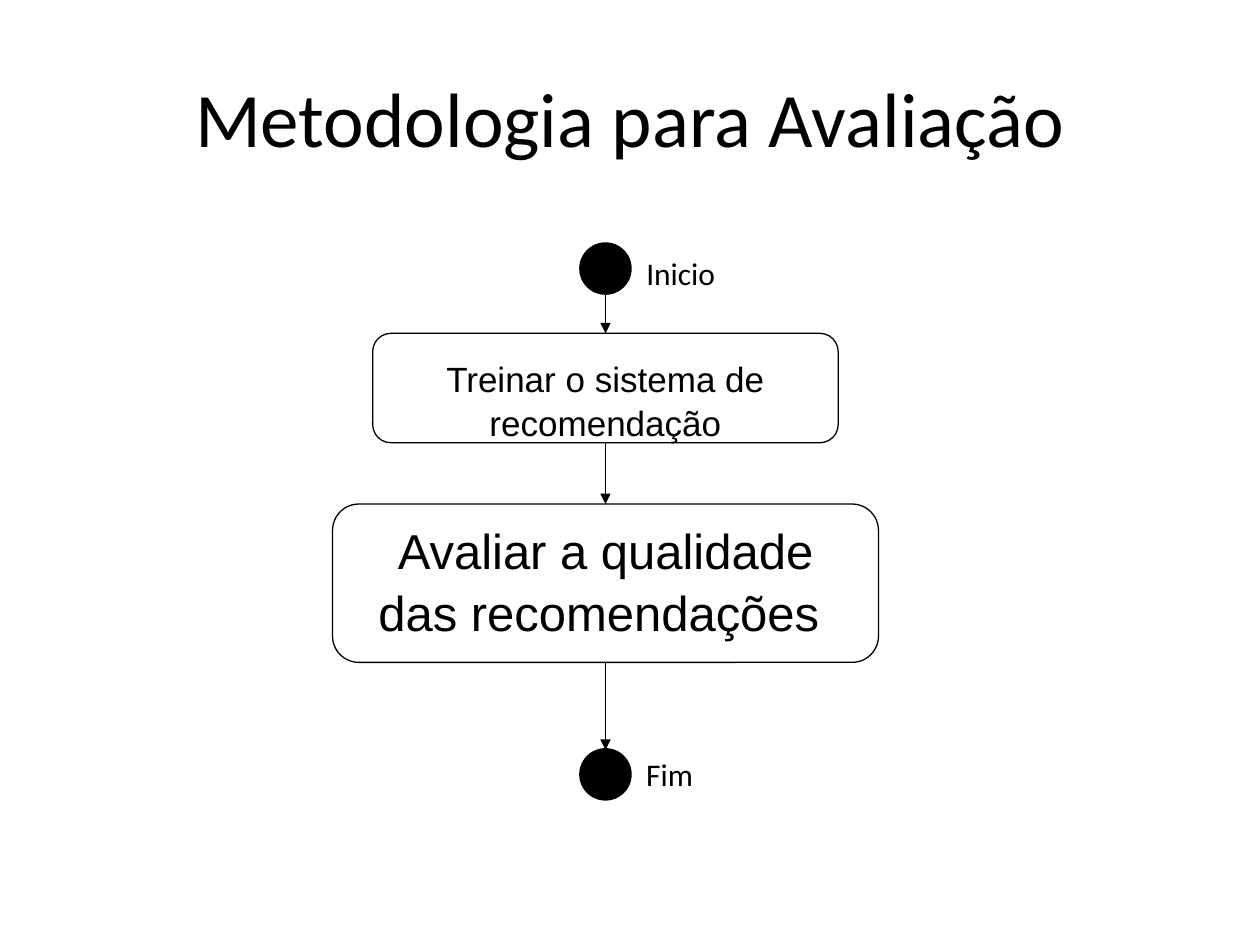
from collections import namedtuple
from dataclasses import dataclass
from itertools import pairwise

from lxml.etree import SubElement
from pptx import Presentation
from pptx.dml.color import RGBColor
from pptx.enum.shapes import MSO_CONNECTOR, MSO_SHAPE
from pptx.enum.text import MSO_ANCHOR, MSO_AUTO_SIZE, PP_ALIGN
from pptx.oxml.ns import qn
from pptx.util import Pt

Box = namedtuple("Box", "left top width height")


@dataclass(frozen=True)
class Theme:
    """Colours, fonts, type sizes and line widths of the slide."""

    ink: RGBColor = RGBColor(0, 0, 0)
    paper: RGBColor = RGBColor(255, 255, 255)
    heading_font: str = "Calibri"
    step_font: str = "Arial"
    title_size: float = 44
    label_size: float = 18
    train_size: float = 20
    assess_size: float = 28
    thin: float = 0.75
    thick: float = 2


THEME = Theme()


def place(shape, box):
    """Move and size a shape to a box in points."""
    shape.left, shape.top, shape.width, shape.height = map(Pt, box)


def write(para, text, font, size):
    """Add one run of text to a paragraph."""
    span = para.add_run()
    span.text = text
    span.font.name = font
    span.font.size = Pt(size)
    span.font.color.rgb = THEME.ink


def add_title(page, box, text):
    """Fill the title placeholder."""
    title = page.shapes.title
    place(title, box)
    frame = title.text_frame
    frame.vertical_anchor = MSO_ANCHOR.MIDDLE
    para = frame.paragraphs[0]
    para.alignment = PP_ALIGN.CENTER
    write(para, text, THEME.heading_font, THEME.title_size)


def add_node(page, kind, box, fill, line_width):
    """Add a filled and outlined shape without shadow."""
    node = page.shapes.add_shape(kind, *map(Pt, box))
    node.shadow.inherit = False
    node.fill.solid()
    node.fill.fore_color.rgb = fill
    node.line.color.rgb = THEME.ink
    node.line.width = Pt(line_width)
    return node


def add_step(page, box, text, size, top_inset):
    """Add a rounded process step with centred text."""
    step = add_node(page, MSO_SHAPE.ROUNDED_RECTANGLE, box, THEME.paper, THEME.thin)
    frame = step.text_frame
    frame.word_wrap = True
    frame.vertical_anchor = MSO_ANCHOR.TOP
    frame.margin_top = Pt(top_inset)
    para = frame.paragraphs[0]
    para.alignment = PP_ALIGN.CENTER
    para.line_spacing = 1.05
    para.space_after = Pt(8)
    write(para, text, THEME.step_font, size)


def add_terminal(page, box, text, label_box):
    """Add a start or end dot with its label."""
    add_node(page, MSO_SHAPE.OVAL, box, THEME.ink, THEME.thick)
    label = page.shapes.add_textbox(*map(Pt, label_box))
    frame = label.text_frame
    frame.word_wrap = False
    frame.auto_size = MSO_AUTO_SIZE.SHAPE_TO_FIT_TEXT
    write(frame.paragraphs[0], text, THEME.heading_font, THEME.label_size)


def add_arrow(page, center, top, bottom):
    """Add a downward arrow on the flow axis."""
    ends = map(Pt, (center, top, center, bottom))
    arrow = page.shapes.add_connector(MSO_CONNECTOR.STRAIGHT, *ends)
    arrow.line.color.rgb = THEME.ink
    arrow.line.width = Pt(THEME.thin)
    SubElement(arrow.line._get_or_add_ln(), qn("a:tailEnd"), type="triangle")
    SubElement(arrow._element.spPr, qn("a:effectLst"))


def add_flow(page, box):
    """Add the vertical flow from start to end inside a box."""
    center = box.left + box.width / 2
    dot = 28

    def centered(offset, width, height):
        """Return a box centred on the flow axis."""
        return Box(center - width / 2, box.top + offset, width, height)

    start = centered(0, dot, dot)
    train = centered(51, 266, 62.5)
    assess = centered(148.5, box.width, 90.5)
    end = centered(box.height - dot, dot, dot)
    label_left = center + 16.2

    add_step(page, train, "Treinar o sistema de recomendação", THEME.train_size, 9.4)
    add_step(page, assess, "Avaliar a qualidade das recomendações ", THEME.assess_size, 3.6)
    add_terminal(page, start, "Inicio", Box(label_left, start.top + 2.3, 54, 29))
    add_terminal(page, end, "Fim", Box(label_left, end.top - 0.7, 42, 29))
    for upper, lower in pairwise((start, train, assess, end)):
        add_arrow(page, center, upper.top + upper.height, lower.top)


def main():
    """Build and save the slide."""
    deck = Presentation()
    deck.slide_width, deck.slide_height = Pt(720), Pt(540)
    page = deck.slides.add_slide(deck.slide_layouts[5])
    add_title(page, Box(36, 21.6, 648, 90), "Metodologia para Avaliação")
    add_flow(page, Box(190, 139.5, 312, 317))
    deck.save("out.pptx")


if __name__ == "__main__":
    main()
